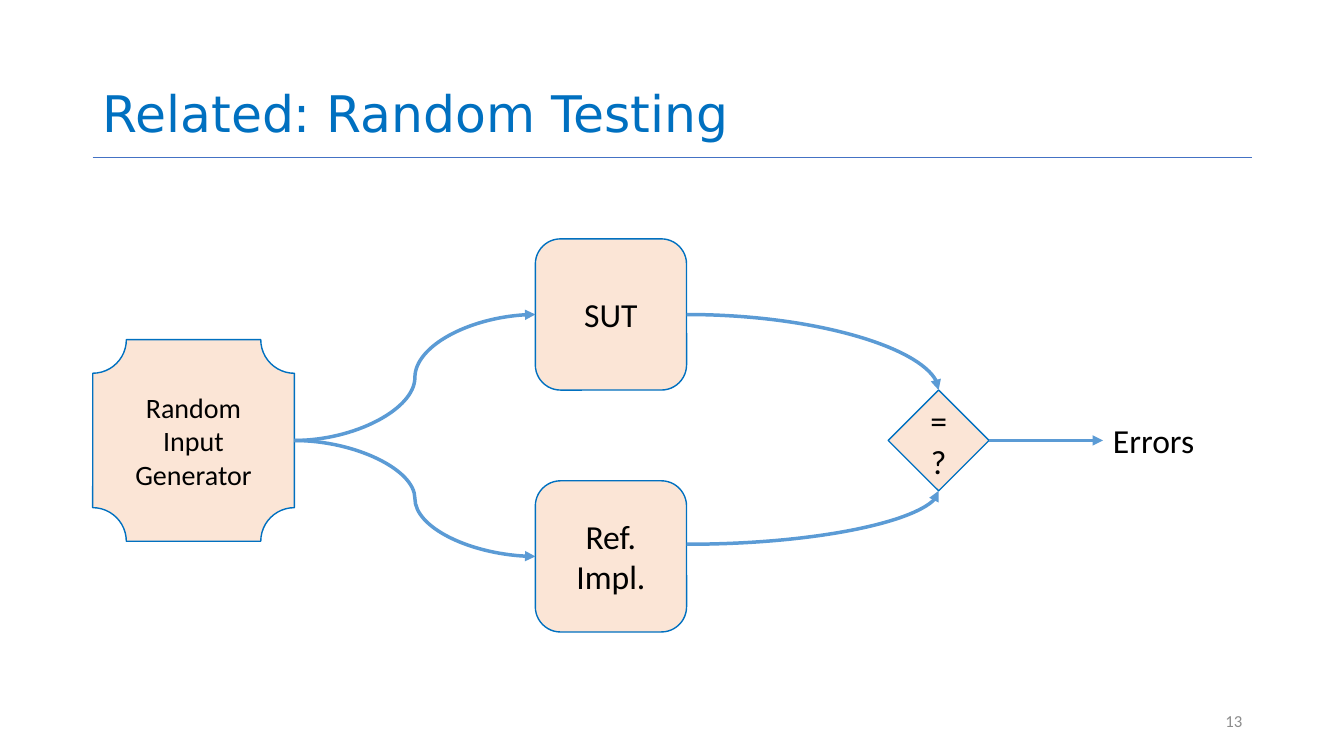
from dataclasses import dataclass
from typing import Optional

from pptx import Presentation
from pptx.dml.color import RGBColor
from pptx.enum.shapes import MSO_CONNECTOR as LINK, MSO_SHAPE as FORM
from pptx.enum.text import MSO_ANCHOR as ANCHOR, PP_ALIGN as ALIGN
from pptx.oxml.ns import qn
from pptx.oxml.xmlchemy import OxmlElement as Element
from pptx.util import Pt

PX = 9144  # EMU per px, 100 px to the inch

BLUE = RGBColor(0x00, 0x70, 0xC0)
PEACH = RGBColor(0xFB, 0xE5, 0xD6)
ARROW = RGBColor(0x5B, 0x9B, 0xD5)
RULE = RGBColor(0x44, 0x72, 0xC4)
GREY = RGBColor(0x8C, 0x8C, 0x8C)
BLACK = RGBColor(0, 0, 0)

TOP, LEFT, BOTTOM, RIGHT = range(4)


@dataclass
class Node:
    name: str
    form: FORM
    box: tuple[int, int, int, int]
    text: str
    size: int = 24


@dataclass
class Edge:
    start: tuple[int, int]
    end: tuple[int, int]
    source: Optional[tuple[str, int]]
    target: tuple[str, int]
    preset: str


NODES = [
    Node("sut", FORM.ROUNDED_RECTANGLE, (531, 237, 150, 150), "SUT"),
    Node("ref", FORM.ROUNDED_RECTANGLE, (531, 477, 150, 150), "Ref.\nImpl."),
    Node("input", FORM.PLAQUE, (92, 337, 200, 200), "Random\nInput\nGenerator", 20),
    Node("check", FORM.DIAMOND, (881, 387, 100, 100), "=?"),
]

EDGES = [
    Edge((292, 437), (531, 312), ("input", RIGHT), ("sut", LEFT), "curvedConnector3"),
    Edge((292, 437), (531, 552), ("input", RIGHT), ("ref", LEFT), "curvedConnector3"),
    Edge((681, 312), (931, 387), ("sut", RIGHT), ("check", TOP), "curvedConnector2"),
    # Leaves the box a little above the middle of its side
    Edge((681, 540), (931, 487), None, ("check", BOTTOM), "curvedConnector2"),
    Edge((981, 437), (1094, 437), ("check", RIGHT), ("errors", LEFT), "line"),
]


def write(shape, text: str, *, size: int, color: RGBColor = BLACK,
          font: str = "Calibri", align: ALIGN = ALIGN.LEFT,
          anchor: ANCHOR = ANCHOR.MIDDLE, wrap: bool = True,
          space: Optional[float] = None) -> None:
    frame = shape.text_frame
    frame.word_wrap = wrap
    frame.vertical_anchor = anchor
    frame.text = text
    for para in frame.paragraphs:
        para.alignment = align
        para.line_spacing = space
        para.font.size = Pt(size)
        para.font.name = font
        para.font.color.rgb = color


def label(slide, box: tuple[int, int, int, int], text: str, **style):
    shape = slide.shapes.add_textbox(*(n * PX for n in box))
    write(shape, text, **style)
    return shape


def draw_node(slide, node: Node):
    shape = slide.shapes.add_shape(node.form, *(n * PX for n in node.box))
    shape.shadow.inherit = False
    shape.fill.solid()
    shape.fill.fore_color.rgb = PEACH
    shape.line.color.rgb = BLUE
    shape.line.width = Pt(1)
    write(shape, node.text, size=node.size, align=ALIGN.CENTER)
    return shape


def draw_line(slide, start: tuple[int, int], end: tuple[int, int],
              color: RGBColor, width: float, preset: str = "line"):
    kind = LINK.STRAIGHT if preset == "line" else LINK.CURVE
    line = slide.shapes.add_connector(kind, *(n * PX for n in start + end))
    line.line.color.rgb = color
    line.line.width = Pt(width)
    props = line.element.spPr
    props.find(qn("a:prstGeom")).set("prst", preset)
    props.append(Element("a:effectLst"))
    return line


def draw_edge(slide, edge: Edge, parts: dict) -> None:
    line = draw_line(slide, edge.start, edge.end, ARROW, 2.5, edge.preset)
    head = Element("a:tailEnd")
    head.set("type", "triangle")
    line.element.spPr.find(qn("a:ln")).append(head)
    if edge.source:
        name, side = edge.source
        line.begin_connect(parts[name], side)
    name, side = edge.target
    line.end_connect(parts[name], side)


def main() -> None:
    deck = Presentation()
    deck.slide_width, deck.slide_height = 1333 * PX, 750 * PX
    slide = deck.slides.add_slide(deck.slide_layouts[6])

    # Heading, rule and page number
    draw_line(slide, (92, 156), (1242, 156), RULE, 0.5)
    label(slide, (92, 2, 1150, 145), "Related: Random Testing", size=36,
          color=BLUE, font="DejaVu Sans", anchor=ANCHOR.BOTTOM, space=0.9)
    label(slide, (942, 695, 300, 40), "13", size=12, color=GREY,
          align=ALIGN.RIGHT)

    # Test flow
    parts = {node.name: draw_node(slide, node) for node in NODES}
    parts["errors"] = label(slide, (1094, 412, 102, 50), "Errors", size=24,
                            wrap=False)
    for edge in EDGES:
        draw_edge(slide, edge, parts)

    deck.save("out.pptx")


if __name__ == "__main__":
    main()
